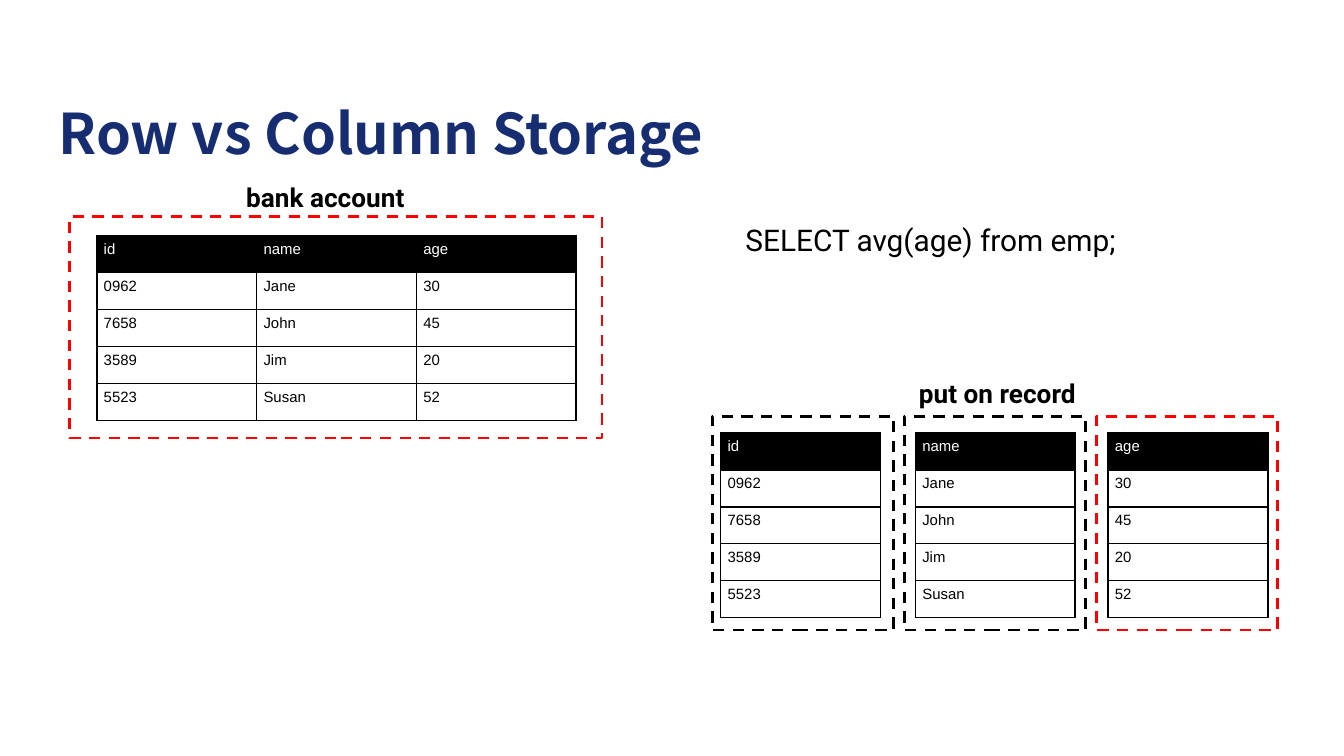
from lxml.etree import SubElement
from pptx import Presentation
from pptx.dml.color import RGBColor
from pptx.enum.dml import MSO_LINE
from pptx.enum.shapes import MSO_SHAPE
from pptx.enum.text import MSO_ANCHOR, MSO_AUTO_SIZE, PP_ALIGN
from pptx.oxml.ns import qn
from pptx.util import Cm, Pt

NAVY = RGBColor(0x17, 0x2D, 0x72)
BLACK = RGBColor(0, 0, 0)
WHITE = RGBColor(255, 255, 255)
RED = RGBColor(255, 0, 0)

EMPLOYEES = [
    ("id", "name", "age"),
    ("0962", "Jane", "30"),
    ("7658", "John", "45"),
    ("3589", "Jim", "20"),
    ("5523", "Susan", "52"),
]


class StorageSlide:
    title_font = "Noto Sans CJK SC"
    label_font = "Roboto"
    table_font = "Arial"
    column_width = 3.02
    row_height = 0.7

    def __init__(self, presentation):
        self.slide = presentation.slides.add_slide(presentation.slide_layouts[5])

    def fill_text(self, shape, text, font, size, color, bold=False, align=PP_ALIGN.LEFT):
        frame = shape.text_frame
        frame.word_wrap = True
        frame.auto_size = MSO_AUTO_SIZE.NONE
        frame.vertical_anchor = MSO_ANCHOR.TOP
        frame.margin_left = frame.margin_right = Cm(0.25)
        frame.margin_top = frame.margin_bottom = Cm(0.25)
        frame.text = text
        paragraph = frame.paragraphs[0]
        paragraph.alignment = align
        self.style(paragraph, font, size, color, bold)
        return paragraph

    def style(self, paragraph, font, size, color, bold=False):
        paragraph.font.name = font
        paragraph.font.size = Pt(size)
        paragraph.font.color.rgb = color
        paragraph.font.bold = bold

    def title(self, text, left, top, width, height):
        shape = self.slide.shapes.title
        shape.left, shape.top = Cm(left), Cm(top)
        shape.width, shape.height = Cm(width), Cm(height)
        paragraph = self.fill_text(shape, text, self.title_font, 30, NAVY, bold=True)
        paragraph.line_spacing = 1.3

    def label(self, text, left, top, width, height, size=14, bold=True, align=PP_ALIGN.CENTER):
        shape = self.slide.shapes.add_textbox(Cm(left), Cm(top), Cm(width), Cm(height))
        self.fill_text(shape, text, self.label_font, size, BLACK, bold, align)

    def table(self, rows, left, top):
        column_count = len(rows[0])
        table = self.slide.shapes.add_table(
            len(rows), column_count, Cm(left), Cm(top),
            Cm(self.column_width * column_count), Cm(self.row_height * len(rows)),
        ).table
        for column in table.columns:
            column.width = Cm(self.column_width)
        for row_index, values in enumerate(rows):
            table.rows[row_index].height = Cm(self.row_height)
            for column_index, value in enumerate(values):
                self.cell(table.cell(row_index, column_index), value, row_index == 0)

    def cell(self, cell, value, is_header):
        cell.text = value
        cell.margin_left = cell.margin_right = Cm(0.13)
        cell.margin_top = cell.margin_bottom = Cm(0.1)
        color = WHITE if is_header else BLACK
        self.style(cell.text_frame.paragraphs[0], self.table_font, 8, color)
        properties = cell._tc.get_or_add_tcPr()
        for side in ("a:lnL", "a:lnR", "a:lnT", "a:lnB"):
            border = SubElement(properties, qn(side), w=str(Pt(1)))
            fill = SubElement(border, qn("a:solidFill"))
            SubElement(fill, qn("a:srgbClr"), val=str(BLACK))
        if is_header:
            cell.fill.solid()
            cell.fill.fore_color.rgb = BLACK
        else:
            cell.fill.background()

    def dashed_frame(self, left, top, width, height, color):
        shape = self.slide.shapes.add_shape(
            MSO_SHAPE.RECTANGLE, Cm(left), Cm(top), Cm(width), Cm(height))
        shape.shadow.inherit = False
        shape.fill.background()
        shape.line.color.rgb = color
        shape.line.width = Pt(1.5)
        shape.line.dash_style = MSO_LINE.DASH


presentation = Presentation()
presentation.slide_width = Cm(25.4)
presentation.slide_height = Cm(14.29)

storage = StorageSlide(presentation)
storage.title("Row vs Column Storage", 0.86, 1.24, 23.67, 1.6)
storage.table(EMPLOYEES, 1.83, 4.45)
storage.label("bank account", 2.11, 3.18, 8.08, 0.69)

for values, left in zip(zip(*EMPLOYEES), (13.62, 17.3, 20.94)):
    storage.table([(value,) for value in values], left, 8.18)

storage.dashed_frame(1.32, 4.09, 10.06, 4.19, RED)
for index, color in enumerate((BLACK, BLACK, RED)):
    storage.dashed_frame(13.46 + 3.63 * index, 7.87, 3.43, 4.04, color)

storage.label("put on record", 14.81, 6.88, 8.08, 0.69)
storage.label("SELECT avg(age) from emp;", 13.84, 3.94, 10.06, 1.6,
              size=16, bold=False, align=PP_ALIGN.LEFT)

presentation.save("out.pptx")
